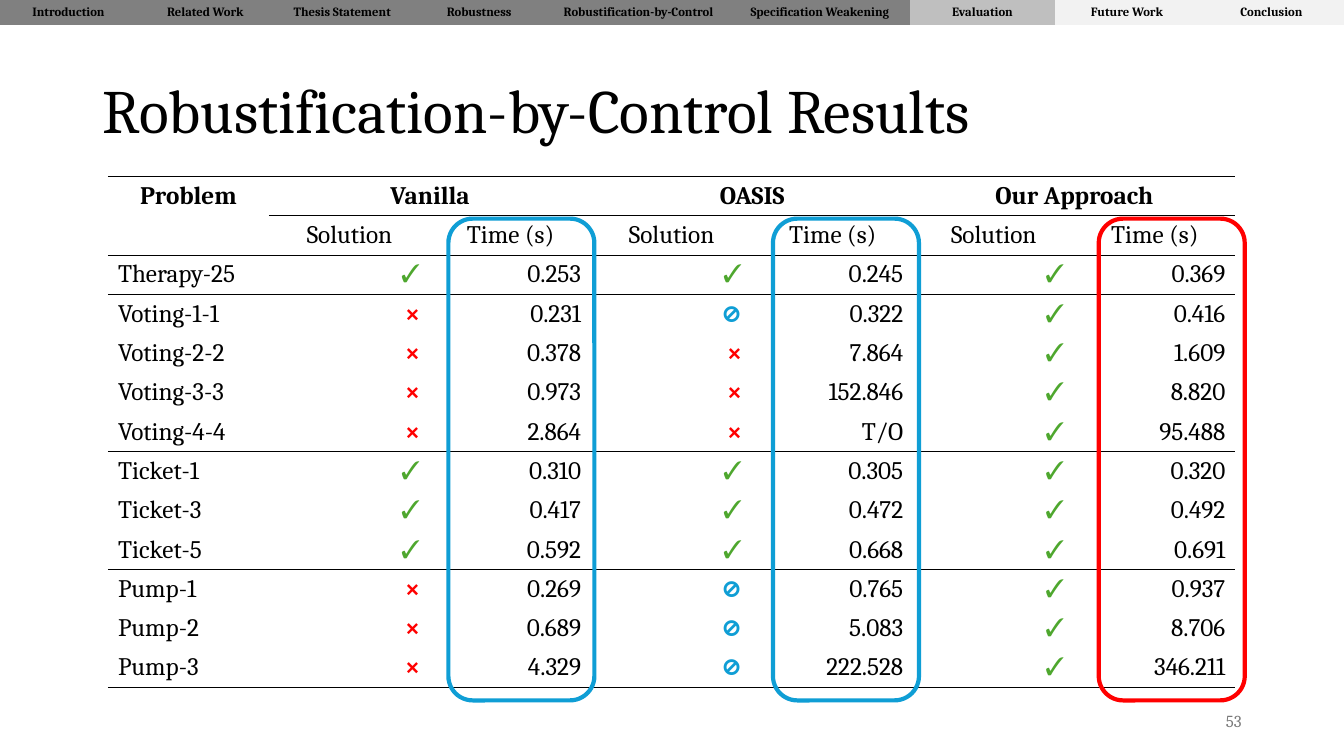
from dataclasses import dataclass
from typing import Any

from lxml import etree
from pptx import Presentation
from pptx import util as u
from pptx.dml.color import RGBColor
from pptx.enum import shapes, text
from pptx.oxml import ns

BLACK = RGBColor(0x00, 0x00, 0x00)
NUMBER_GRAY = RGBColor(0x79, 0x79, 0x79)
PAST_GRAY = RGBColor(0x80, 0x80, 0x80)
CURRENT_GRAY = RGBColor(0xBF, 0xBF, 0xBF)
COMING_GRAY = RGBColor(0xF2, 0xF2, 0xF2)
GREEN = RGBColor(0x4E, 0xA7, 0x2E)
RED = RGBColor(0xFF, 0x00, 0x00)
BLUE = RGBColor(0x0F, 0x9E, 0xD5)

LEFT, CENTER, RIGHT = text.PP_ALIGN.LEFT, text.PP_ALIGN.CENTER, text.PP_ALIGN.RIGHT
MIDDLE = text.MSO_ANCHOR.MIDDLE
NO_STYLE = "{2D5ABB26-0587-4C30-8999-92F81FD0307C}"
MARK_COLORS = {"✓": GREEN, "×": RED, "⊘": BLUE}


@dataclass(frozen=True)
class Section:
    name: str
    width: float
    fill: RGBColor


@dataclass(frozen=True)
class Highlight:
    left: float
    color: RGBColor


SECTIONS = [
    Section("Introduction", 3.45, PAST_GRAY),
    Section("Related Work", 3.45, PAST_GRAY),
    Section("Thesis Statement", 3.45, PAST_GRAY),
    Section("Robustness", 3.45, PAST_GRAY),
    Section("Robustification-by-Control", 4.58, PAST_GRAY),
    Section("Specification Weakening", 4.56, PAST_GRAY),
    Section("Evaluation", 3.64, CURRENT_GRAY),
    Section("Future Work", 3.64, COMING_GRAY),
    Section("Conclusion", 3.64, COMING_GRAY),
]

RESULTS = [
    ["Problem", "Vanilla", "", "OASIS", "", "Our Approach", ""],
    [""] + ["Solution", "Time (s)"] * 3,
    ["Therapy-25", "✓", "0.253", "✓", "0.245", "✓", "0.369"],
    ["Voting-1-1", "×", "0.231", "⊘", "0.322", "✓", "0.416"],
    ["Voting-2-2", "×", "0.378", "×", "7.864", "✓", "1.609"],
    ["Voting-3-3", "×", "0.973", "×", "152.846", "✓", "8.820"],
    ["Voting-4-4", "×", "2.864", "×", "T/O", "✓", "95.488"],
    ["Ticket-1", "✓", "0.310", "✓", "0.305", "✓", "0.320"],
    ["Ticket-3", "✓", "0.417", "✓", "0.472", "✓", "0.492"],
    ["Ticket-5", "✓", "0.592", "✓", "0.668", "✓", "0.691"],
    ["Pump-1", "×", "0.269", "⊘", "0.765", "✓", "0.937"],
    ["Pump-2", "×", "0.689", "⊘", "5.083", "✓", "8.706"],
    ["Pump-3", "×", "4.329", "⊘", "222.528", "✓", "346.211"],
]
HEADER_ROWS = 2
RULED_EDGES = {0, 1, 2, 3, 7, 10, 13}

HIGHLIGHTS = [Highlight(27.69, RED), Highlight(11.3, BLUE), Highlight(19.48, BLUE)]


def set_all(target: Any, values: dict[str, Any]) -> None:
    for name, value in values.items():
        setattr(target, name, value)


def write(frame: Any, words: str, size: float, align: Any,
          color: RGBColor = BLACK, bold: bool = False) -> None:
    frame.text = words
    paragraph = frame.paragraphs[0]
    paragraph.alignment = align
    set_all(paragraph.font, {"name": "Cambria", "size": u.Pt(size), "bold": bold})
    paragraph.font.color.rgb = color


def add_plain_table(slide: Any, left: float, top: float, widths: list[float],
                    row_height: float, row_count: int) -> Any:
    """Add a table without banding, borders or fills."""
    table = slide.shapes.add_table(
        row_count, len(widths), u.Cm(left), u.Cm(top),
        u.Cm(sum(widths)), u.Cm(row_height * row_count)).table
    set_all(table, {"first_row": False, "horz_banding": False})
    table._tbl.tblPr.find(ns.qn("a:tableStyleId")).text = NO_STYLE
    for column, width in zip(table.columns, widths):
        column.width = u.Cm(width)
    for row in table.rows:
        row.height = u.Cm(row_height)
    for cell in table.iter_cells():
        set_all(cell, {"margin_top": u.Cm(0.04), "margin_bottom": u.Cm(0.04),
                       "vertical_anchor": MIDDLE})
    return table


def rule_cell(cell: Any, top: bool, bottom: bool) -> None:
    """Draw thin black lines on the chosen edges and clear the others."""
    properties = cell._tc.get_or_add_tcPr()
    for edge, ruled in (("lnT", top), ("lnB", bottom)):
        line = etree.SubElement(properties, ns.qn(f"a:{edge}"), w=str(u.Pt(1)))
        if ruled:
            fill = etree.SubElement(line, ns.qn("a:solidFill"))
            etree.SubElement(fill, ns.qn("a:srgbClr"), val=str(BLACK))
        else:
            etree.SubElement(line, ns.qn("a:noFill"))


def add_navigation(slide: Any) -> None:
    table = add_plain_table(slide, 0, 0, [s.width for s in SECTIONS], 0.63, 1)
    for cell, section in zip(table.iter_cells(), SECTIONS):
        set_all(cell, {"margin_left": 0, "margin_right": 0})
        write(cell.text_frame, section.name, 9, CENTER, bold=True)
        cell.fill.solid()
        cell.fill.fore_color.rgb = section.fill


def add_results(slide: Any) -> None:
    table = add_plain_table(slide, 2.72, 4.45, [4.06] * 7, 0.99, len(RESULTS))
    problem = table.cell(0, 0)
    problem.merge(table.cell(1, 0))
    for column in (1, 3, 5):
        table.cell(0, column).merge(table.cell(0, column + 1))
    for r, values in enumerate(RESULTS):
        for c, value in enumerate(values):
            cell = table.cell(r, c)
            if r < HEADER_ROWS:
                align = CENTER
            else:
                align = RIGHT if c else LEFT
            write(cell.text_frame, value, 18, align,
                  MARK_COLORS.get(value, BLACK), r == 0 or value in MARK_COLORS)
            inside_problem = (r, c) == (1, 0)
            rule_cell(cell, r in RULED_EDGES and not inside_problem,
                      r + 1 in RULED_EDGES)
            cell.fill.background()
    set_all(problem, {"vertical_anchor": text.MSO_ANCHOR.TOP,
                      "margin_top": u.Cm(0.13)})


def add_highlight(slide: Any, highlight: Highlight) -> None:
    outline = slide.shapes.add_shape(
        shapes.MSO_SHAPE.ROUNDED_RECTANGLE,
        u.Cm(highlight.left), u.Cm(5.51), u.Cm(3.68), u.Cm(12.14))
    outline.shadow.inherit = False
    outline.fill.background()
    outline.line.color.rgb = highlight.color
    outline.line.width = u.Pt(3)


def main() -> None:
    deck = Presentation()
    set_all(deck, {"slide_width": u.Cm(33.87), "slide_height": u.Cm(19.05)})
    slide = deck.slides.add_slide(deck.slide_layouts[5])

    title = slide.shapes.title
    set_all(title, {"left": u.Cm(2.33), "top": u.Cm(1.01),
                    "width": u.Cm(29.21), "height": u.Cm(3.68)})
    write(title.text_frame, "Robustification-by-Control Results", 44, LEFT)
    set_all(title.text_frame, {"vertical_anchor": MIDDLE, "word_wrap": True,
                               "auto_size": text.MSO_AUTO_SIZE.NONE})
    title.text_frame.paragraphs[0].line_spacing = 0.9

    page_number = slide.shapes.add_textbox(
        u.Cm(23.92), u.Cm(17.66), u.Cm(7.62), u.Cm(1.01)).text_frame
    write(page_number, "53", 12, RIGHT, NUMBER_GRAY)
    set_all(page_number, {"vertical_anchor": MIDDLE, "word_wrap": True})

    add_navigation(slide)
    add_results(slide)
    for highlight in HIGHLIGHTS:
        add_highlight(slide, highlight)
    deck.save("out.pptx")


if __name__ == "__main__":
    main()
